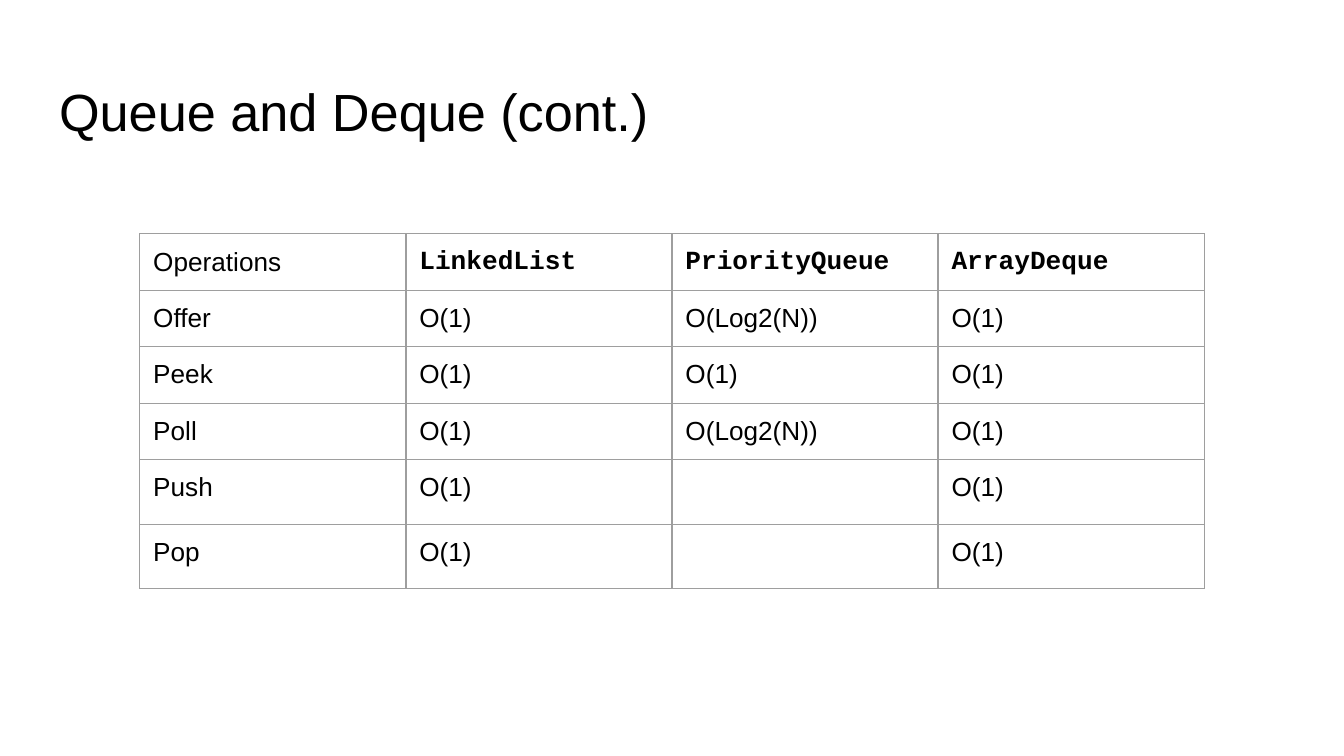
from typing import NamedTuple

from lxml.etree import SubElement
from pptx import Presentation
from pptx.dml.color import RGBColor
from pptx.enum.text import MSO_ANCHOR as Anchor, MSO_AUTO_SIZE as Fit, PP_ALIGN as Align
from pptx.oxml.ns import qn
from pptx.util import Inches, Pt

BLACK = RGBColor(0x00, 0x00, 0x00)
GRAY = RGBColor(0x9E, 0x9E, 0x9E)
PAD = Inches(0.1)


class Style(NamedTuple):
    font: str
    size: int
    bold: bool = False


HEAD = Style("Arial", 28)
BODY = Style("Arial", 14)
CODE = Style("Courier New", 14, True)
BLANK = Style("Arial", 18)

ROWS = [
    ("Operations", "LinkedList", "PriorityQueue", "ArrayDeque"),
    ("Offer", "O(1)", "O(Log2(N))", "O(1)"),
    ("Peek", "O(1)", "O(1)", "O(1)"),
    ("Poll", "O(1)", "O(Log2(N))", "O(1)"),
    ("Push", "O(1)", "", "O(1)"),
    ("Pop", "O(1)", "", "O(1)"),
]
COL_W = Inches(1.98)
ROW_H = Inches(0.42)


def write(frame, text: str, style: Style) -> None:
    frame.text = text
    para = frame.paragraphs[0]
    para.alignment = Align.LEFT
    for run in para.runs:
        font = run.font
        font.name, font.size, font.bold = style.font, Pt(style.size), style.bold
        font.color.rgb = BLACK


def set_blank(frame, style: Style) -> None:
    """Give an empty cell the font that sets its line height."""
    end = SubElement(frame.paragraphs[0]._p, qn("a:endParaRPr"), sz=str(style.size * 100))
    SubElement(end, qn("a:latin"), typeface=style.font)


def pad(box) -> None:
    box.margin_left = box.margin_right = PAD
    box.margin_top = box.margin_bottom = PAD


def outline(cell) -> None:
    """Draw a thin gray border on all four sides of the cell."""
    props = cell._tc.get_or_add_tcPr()
    for side in ("lnL", "lnR", "lnT", "lnB"):
        line = SubElement(props, qn(f"a:{side}"), w=str(Pt(0.75)))
        fill = SubElement(line, qn("a:solidFill"))
        SubElement(fill, qn("a:srgbClr"), val=str(GRAY))


def add_title(slide, text: str) -> None:
    title = slide.shapes.title
    title.left, title.top = Inches(0.34), Inches(0.49)
    title.width, title.height = Inches(9.32), Inches(0.63)
    frame = title.text_frame
    write(frame, text, HEAD)
    pad(frame)
    frame.word_wrap = True
    frame.auto_size = Fit.NONE
    frame.vertical_anchor = Anchor.TOP


def add_grid(slide, rows: list[tuple[str, ...]]) -> None:
    count, width = len(rows), len(rows[0])
    table = slide.shapes.add_table(
        count, width, Inches(1.04), Inches(1.74), COL_W * width, ROW_H * count
    ).table
    table.first_row = table.horz_banding = False
    for r, row in enumerate(rows):
        for c, text in enumerate(row):
            cell = table.cell(r, c)
            pad(cell)
            outline(cell)
            cell.fill.background()
            if text:
                write(cell.text_frame, text, CODE if r == 0 and c > 0 else BODY)
            else:
                set_blank(cell.text_frame, BLANK)


def main() -> None:
    deck = Presentation()
    deck.slide_width = Inches(10)
    deck.slide_height = deck.slide_width * 9 // 16
    slide = deck.slides.add_slide(deck.slide_layouts[5])
    add_title(slide, "Queue and Deque (cont.)")
    add_grid(slide, ROWS)
    deck.save("out.pptx")


if __name__ == "__main__":
    main()
